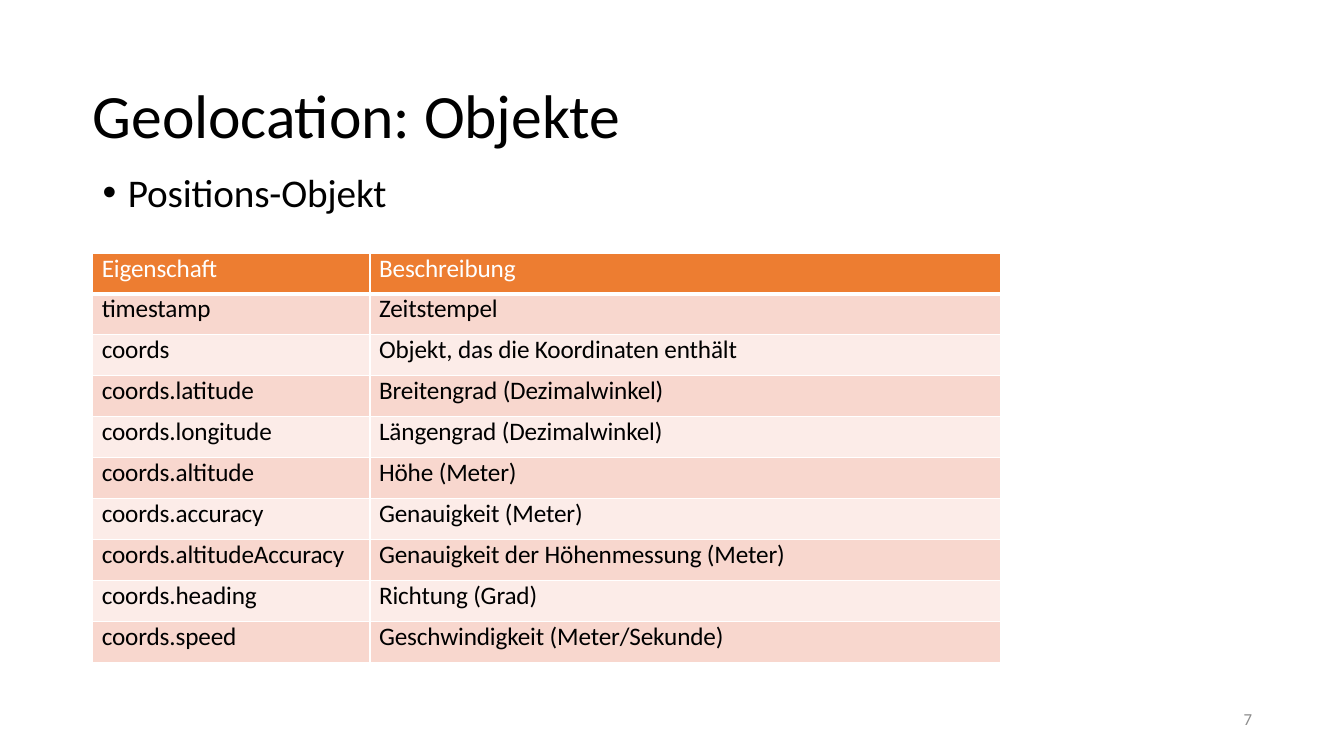
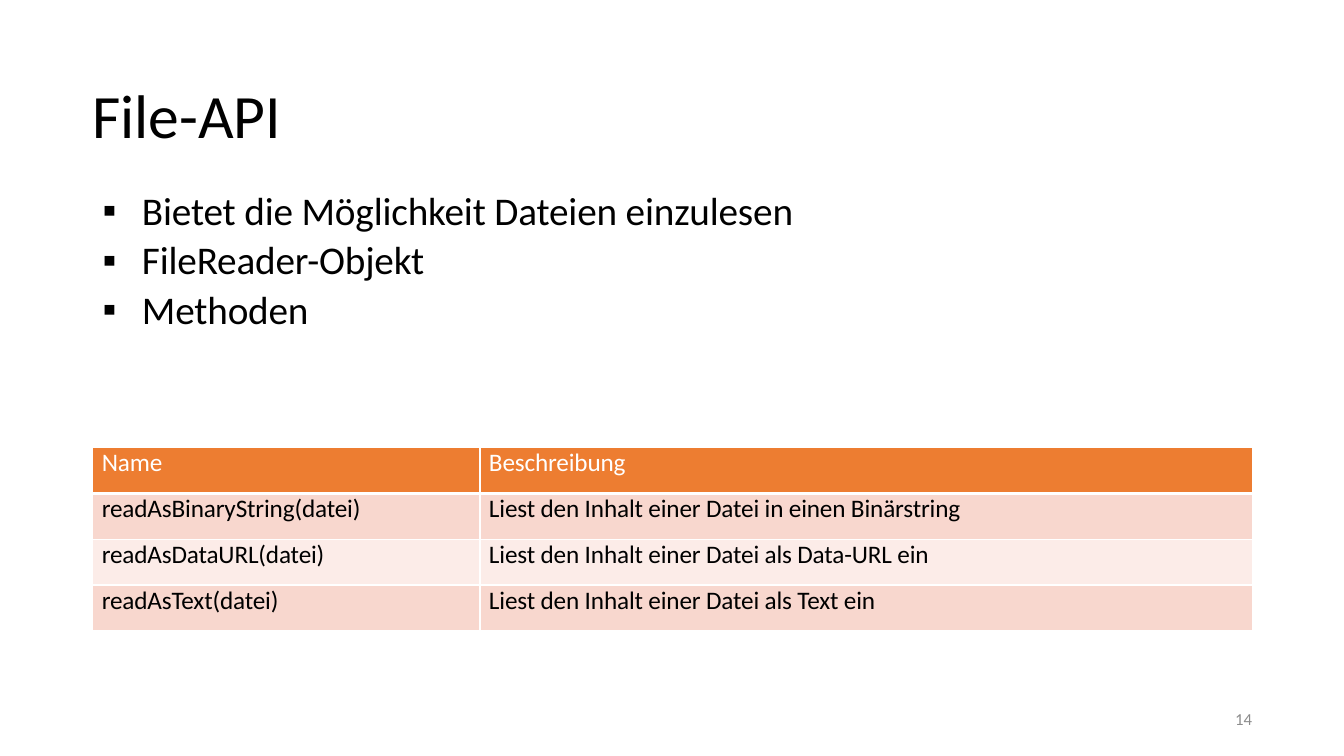
from dataclasses import dataclass

from lxml.etree import SubElement
from pptx import Presentation
from pptx.dml.color import RGBColor
from pptx.enum.text import MSO_ANCHOR, MSO_AUTO_SIZE, PP_ALIGN
from pptx.oxml.ns import qn
from pptx.util import Pt


@dataclass(frozen=True)
class Theme:
    face: str = "Calibri"
    ink: str = "000000"
    pale: str = "FFFFFF"
    gray: str = "8C8C8C"
    head: str = "ED7D31"
    bands: tuple = ("F8D7CE", "FCECE8")
    title: int = 44
    body: int = 28
    cell: int = 18
    foot: int = 12
    track: int = -10
    line: int = 1
    rule: int = 3


THEME = Theme()
SCALE = 9144
FLAT = dict(margin_left=0, margin_top=0, margin_right=0, margin_bottom=0)
MIDDLE = dict(
    FLAT,
    vertical_anchor=MSO_ANCHOR.MIDDLE,
    word_wrap=True,
    auto_size=MSO_AUTO_SIZE.NONE,
)


def px(num):
    return num * SCALE


def put(item, form):
    for name, value in form.items():
        setattr(item, name, value)


def write(para, text, size, color, track=THEME.track, **form):
    put(para, form)
    run = para.add_run()
    run.text = text
    put(run.font, dict(name=THEME.face, size=Pt(size), bold=False))
    run.font.color.rgb = RGBColor.from_string(color)
    run._r.get_or_add_rPr().set("spc", str(track))


def bullet(para, mark, inset):
    props = para._p.get_or_add_pPr()
    props.set("marL", str(px(inset)))
    props.set("indent", str(-px(inset)))
    SubElement(props, qn("a:buFont"), typeface="Arial")
    SubElement(props, qn("a:buChar"), char=mark)


def title(slide, text, box):
    shape = slide.shapes.title
    put(shape, dict(zip(("left", "top", "width", "height"), map(px, box))))
    put(shape.text_frame, MIDDLE)
    write(shape.text_frame.paragraphs[0], text, THEME.title, THEME.ink,
          alignment=PP_ALIGN.LEFT)


def body(slide, lines, mark, inset, box):
    frame = slide.shapes.add_textbox(*map(px, box)).text_frame
    frame.word_wrap = True
    for row, text in enumerate(lines):
        para = frame.add_paragraph() if row else frame.paragraphs[0]
        write(para, text, THEME.body, THEME.ink,
              line_spacing=0.9, space_before=Pt(5.2 if row else 10))
        bullet(para, mark, inset)


def footer(slide, text, box):
    frame = slide.shapes.add_textbox(*map(px, box)).text_frame
    put(frame, MIDDLE)
    write(frame.paragraphs[0], text, THEME.foot, THEME.gray, track=0,
          alignment=PP_ALIGN.RIGHT, line_spacing=Pt(12.4))


def border(cell, base):
    props = cell._tc.get_or_add_tcPr()
    for side in "LRTB":
        width = base if side == "B" else THEME.line
        line = SubElement(props, qn(f"a:ln{side}"), w=str(Pt(width)))
        fill = SubElement(line, qn("a:solidFill"))
        SubElement(fill, qn("a:srgbClr"), val=THEME.pale)


def grid(slide, rows, split, box):
    table = slide.shapes.add_table(len(rows), 2, *map(px, box)).table
    table.horz_banding = False
    for col, width in zip(table.columns, (split, box[2] - split)):
        col.width = px(width)
    for row, texts in enumerate(rows):
        back = THEME.bands[(row - 1) % 2] if row else THEME.head
        color = THEME.ink if row else THEME.pale
        for col, text in enumerate(texts):
            cell = table.cell(row, col)
            put(cell, dict(FLAT, margin_left=px(9)))
            border(cell, THEME.line if row else THEME.rule)
            cell.fill.solid()
            cell.fill.fore_color.rgb = RGBColor.from_string(back)
            write(cell.text_frame.paragraphs[0], text, THEME.cell, color,
                  space_before=Pt(0.9 if row == 1 else 1.9))


def page(deck, name, number):
    slide = deck.slides.add_slide(deck.slide_layouts[5])
    title(slide, name, (92, 40, 1150, 145))
    footer(slide, number, (942, 695, 300, 40))
    return slide


def places(deck):
    slide = page(deck, "Geolocation: Objekte", "7")
    body(slide, ["Positions-Objekt"], "•", 25, (92, 167, 1150, 508))
    rows = [
        ("Eigenschaft", "Beschreibung"),
        ("timestamp", "Zeitstempel"),
        ("coords", "Objekt, das die Koordinaten enthält"),
        ("coords.latitude", "Breitengrad (Dezimalwinkel)"),
        ("coords.longitude", "Längengrad (Dezimalwinkel)"),
        ("coords.altitude", "Höhe (Meter)"),
        ("coords.accuracy", "Genauigkeit (Meter)"),
        ("coords.altitudeAccuracy", "Genauigkeit der Höhenmessung (Meter)"),
        ("coords.heading", "Richtung (Grad)"),
        ("coords.speed", "Geschwindigkeit (Meter/Sekunde)"),
    ]
    grid(slide, rows, 275, (92, 251, 900, 406))


def files(deck):
    slide = page(deck, "File-API", "14")
    lines = [
        "Bietet die Möglichkeit Dateien einzulesen",
        "FileReader-Objekt",
        "Methoden",
    ]
    body(slide, lines, "▪", 39, (92, 185, 1150, 491))
    rows = [
        ("Name", "Beschreibung"),
        ("readAsBinaryString(datei)",
         "Liest den Inhalt einer Datei in einen Binärstring"),
        ("readAsDataURL(datei)",
         "Liest den Inhalt einer Datei als Data-URL ein"),
        ("readAsText(datei)", "Liest den Inhalt einer Datei als Text ein"),
    ]
    grid(slide, rows, 384, (92, 444, 1150, 182))


def main():
    deck = Presentation()
    put(deck, dict(slide_width=px(1333), slide_height=px(750)))
    places(deck)
    files(deck)
    deck.save("out.pptx")


if __name__ == "__main__":
    main()
